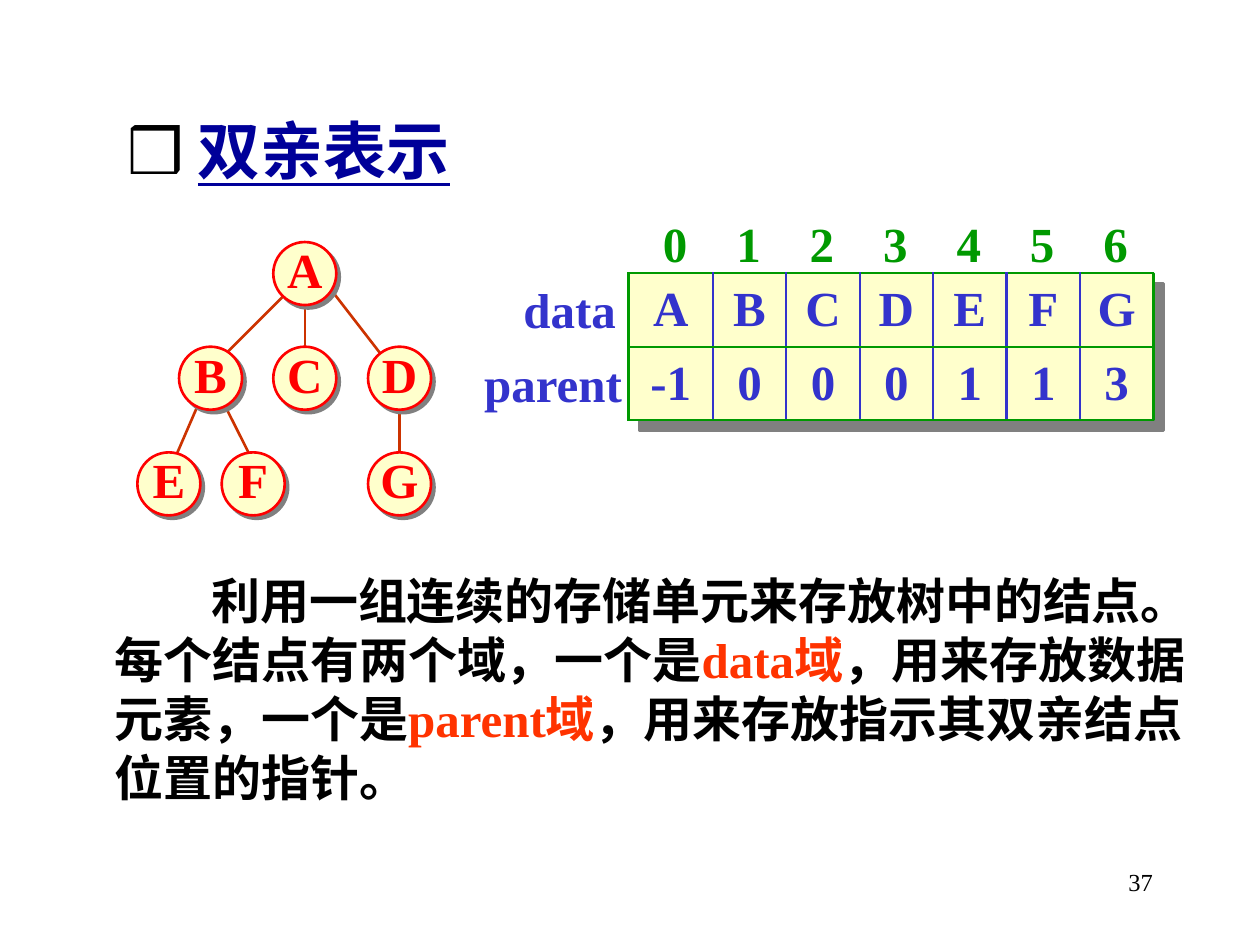
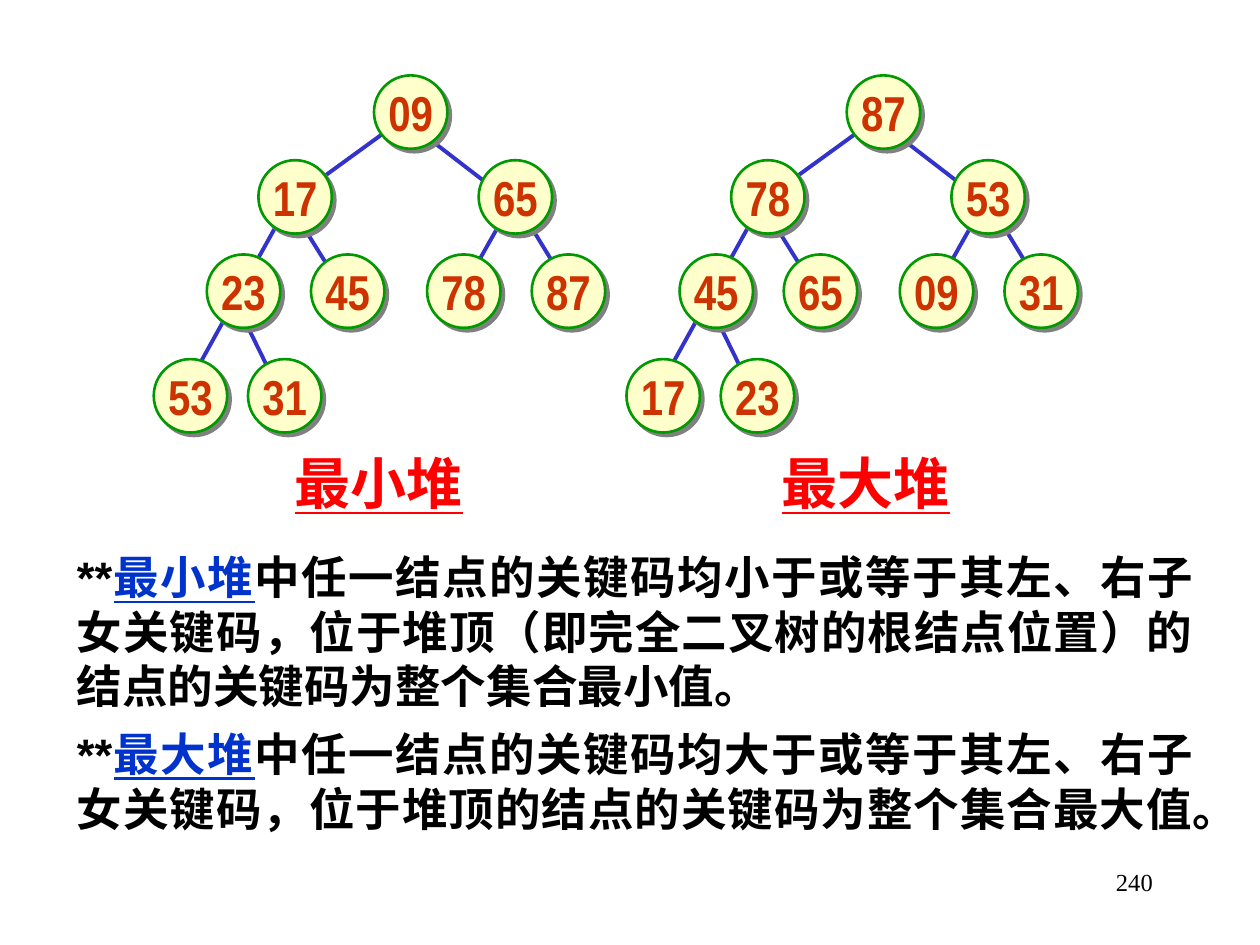
from lxml import etree
from pptx import Presentation
from pptx.dml.color import RGBColor
from pptx.enum.shapes import MSO_CONNECTOR, MSO_SHAPE
from pptx.enum.text import MSO_ANCHOR, MSO_AUTO_SIZE, PP_ALIGN
from pptx.oxml.ns import qn
from pptx.util import Cm, Pt

STRAIGHT = MSO_CONNECTOR.STRAIGHT
ELLIPSE, RECTANGLE = MSO_SHAPE.OVAL, MSO_SHAPE.RECTANGLE
TOP, MIDDLE = MSO_ANCHOR.TOP, MSO_ANCHOR.MIDDLE
LEFT, CENTER, RIGHT, JUSTIFY = PP_ALIGN.LEFT, PP_ALIGN.CENTER, PP_ALIGN.RIGHT, PP_ALIGN.JUSTIFY
NO_AUTOFIT = MSO_AUTO_SIZE.NONE
TITLE_ONLY, BLANK = 5, 6

COLOURS = {
    "black": "000000", "navy": "000099", "cream": "FFFFCC", "red": "FF0000",
    "brick": "CC3300", "orange": "FF3300", "green": "009900", "indigo": "3333CC",
    "blue": "0033CC", "grey": "808080",
}
SERIF, SANS, NARROW = "Times New Roman", "Arial", "Arial Narrow"


def text_style(name, size, color, bold=True):
    return {"name": name, "size": Pt(size), "bold": bold, "color": color}


TITLE = text_style(SERIF, 36, "black")
BODY = text_style(SERIF, 28, "black")
TREE_LETTER = text_style(SERIF, 28, "red")
ARRAY_VALUE = text_style(SERIF, 28, "indigo")
ARRAY_INDEX = text_style(SERIF, 28, "green")
HEAP_KEY = text_style(NARROW, 28, "brick")
HEAP_NAME = text_style(SANS, 32, "red") | {"underline": True}
HEAP_RULE = text_style(SANS, 26, "black")
PAGE_NUMBER = text_style(SERIF, 14, "black", bold=False)


def colour(name):
    return RGBColor.from_string(COLOURS[name])


class Deck:
    def __init__(self):
        self.presentation = Presentation()
        self.presentation.slide_width = Cm(25.4)
        self.presentation.slide_height = Cm(19.05)
        self.slide = None

    def new_slide(self, layout, number):
        self.slide = self.presentation.slides.add_slide(self.presentation.slide_layouts[layout])
        self.text_box(18.21, 17.35, 5.28, 1.27, [number], PAGE_NUMBER, align=RIGHT)

    def add_runs(self, paragraph, runs, style, **layout):
        for key, value in layout.items():
            setattr(paragraph, key, value)
        for part in [runs] if isinstance(runs, str) else runs:
            text, changes = (part, {}) if isinstance(part, str) else part
            run = paragraph.add_run()
            run.text = text
            for key, value in (style | changes).items():
                if key == "color":
                    run.font.color.rgb = colour(value)
                else:
                    setattr(run.font, key, value)

    def fill_frame(self, frame, paragraphs, style, align, anchor=TOP, space=0, **settings):
        for key, value in ({"word_wrap": True, "vertical_anchor": anchor} | settings).items():
            setattr(frame, key, value)
        for index, runs in enumerate(paragraphs):
            paragraph = frame.add_paragraph() if index else frame.paragraphs[0]
            self.add_runs(paragraph, runs, style, alignment=align,
                          space_before=Pt(space if index else 0))

    def title(self, left, top, width, height, runs):
        shape = self.slide.shapes.title
        for key, value in zip(("left", "top", "width", "height"), (left, top, width, height)):
            setattr(shape, key, Cm(value))
        self.fill_frame(shape.text_frame, [runs], TITLE, LEFT, auto_size=NO_AUTOFIT)

    def text_box(self, left, top, width, height, paragraphs, style, align=LEFT, **options):
        shape = self.slide.shapes.add_textbox(Cm(left), Cm(top), Cm(width), Cm(height))
        self.fill_frame(shape.text_frame, paragraphs, style, align, **options)
        return shape

    def line(self, start_x, start_y, end_x, end_y, color, width):
        connector = self.slide.shapes.add_connector(
            STRAIGHT, Cm(start_x), Cm(start_y), Cm(end_x), Cm(end_y))
        connector.line.color.rgb = colour(color)
        connector.line.width = Pt(width)
        etree.SubElement(connector._element.spPr, qn("a:effectLst"))

    def panel(self, kind, left, top, width, height, outline, shadow):
        shape = self.slide.shapes.add_shape(kind, Cm(left), Cm(top), Cm(width), Cm(height))
        shape.fill.solid()
        shape.fill.fore_color.rgb = colour("cream")
        shape.line.color.rgb = colour(outline)
        shape.line.width = Pt(1.5)
        shape.shadow.inherit = False
        effects = shape._element.spPr.find(qn("a:effectLst"))
        cast = etree.SubElement(effects, qn("a:outerShdw"), dist=str(Pt(shadow)),
                                dir="2700000", algn="ctr", rotWithShape="0")
        etree.SubElement(cast, qn("a:srgbClr"), val=COLOURS["grey"])
        return shape

    def tree(self, nodes, edges, size, outline, style, edge_color, edge_width, lift=0, shift=0):
        for start_x, start_y, end_x, end_y in edges:
            self.line(start_x + shift, start_y, end_x + shift, end_y, edge_color, edge_width)
        for label, left, top in nodes:
            shape = self.panel(ELLIPSE, left + shift, top, size, size, outline, 2.8)
            self.fill_frame(shape.text_frame, [label], style, CENTER, MIDDLE, word_wrap=False,
                            margin_left=0, margin_right=0, margin_top=0, margin_bottom=Cm(lift))

    def table(self, left, top, widths, row_height, rows):
        height = row_height * len(rows)
        self.panel(RECTANGLE, left, top, sum(widths), height, "green", 8.5)
        table = self.slide.shapes.add_table(
            len(rows), len(widths), Cm(left), Cm(top), Cm(sum(widths)), Cm(height)).table
        table.first_row = table.horz_banding = False
        for column, width in zip(table.columns, widths):
            column.width = Cm(width)
        last = len(widths) - 1
        for row_index, values in enumerate(rows):
            table.rows[row_index].height = Cm(row_height)
            for index, value in enumerate(values):
                cell = table.cell(row_index, index)
                for side in ("left", "right", "top", "bottom"):
                    setattr(cell, f"margin_{side}", 0)
                self.borders(cell, {
                    "lnL": "indigo" if index else "green",
                    "lnR": "indigo" if index < last else "green",
                    "lnT": "green", "lnB": "green"})
                cell.fill.solid()
                cell.fill.fore_color.rgb = colour("cream")
                cell.vertical_anchor = MIDDLE
                self.add_runs(cell.text_frame.paragraphs[0], value, ARRAY_VALUE, alignment=CENTER)

    def borders(self, cell, sides):
        properties = cell._tc.get_or_add_tcPr()
        for tag, color in sides.items():
            border = etree.SubElement(properties, qn(f"a:{tag}"), w=str(Pt(1.5)))
            fill = etree.SubElement(border, qn("a:solidFill"))
            etree.SubElement(fill, qn("a:srgbClr"), val=COLOURS[color])


def parent_array_slide(deck):
    deck.new_slide(TITLE_ONLY, "37")
    deck.title(2.31, 2.13, 9, 1.8, ["❒ ", ("双亲表示", {"color": "navy", "underline": True})])

    nodes = [("A", 5.51, 4.88), ("B", 3.61, 6.99), ("C", 5.51, 6.99), ("D", 7.42, 6.99),
             ("E", 2.77, 9.12), ("F", 4.47, 9.12), ("G", 7.42, 9.12)]
    edges = [(5.74, 5.94, 4.47, 7.21), (6.15, 5.94, 6.15, 7.21), (6.58, 5.72, 8.05, 7.62),
             (4.04, 8.05, 3.4, 9.53), (4.47, 8.05, 5.11, 9.32), (8.05, 8.05, 8.05, 9.53)]
    deck.tree(nodes, edges, 1.27, "red", TREE_LETTER, "brick", 1.5, lift=0.18)

    step, array_top = 1.48, 5.51
    deck.table(12.67, array_top, [1.7] + [step] * 6, step,
               ["ABCDEFG", ["-1", "0", "0", "0", "1", "1", "3"]])
    for row, (name, left, width) in enumerate([("data", 10.29, 2.39), ("parent", 9.5, 3.3)]):
        deck.text_box(left, array_top + row * step, width, 1.45, [name], ARRAY_VALUE,
                      CENTER, anchor=MIDDLE, word_wrap=False)
    for index in range(7):
        deck.text_box(12.87 + index * step, 4.17, step, 1.45, [str(index)], ARRAY_INDEX,
                      CENTER, anchor=MIDDLE, word_wrap=False)

    highlight = {"color": "orange"}
    body = deck.text_box(1.09, 11.38, 23.7, 5.33, [[
        "利用一组连续的存储单元来存放树中的结点。每个结点有两个域，一个是",
        ("data域", highlight), "，用来存放数据元素，一个是",
        ("parent域", highlight), "，用来存放指示其双亲结点位置的指针。"]], BODY)
    properties = body.text_frame.paragraphs[0]._p.get_or_add_pPr()
    properties.set("marL", str(Cm(0.97)))
    properties.set("indent", str(Cm(1.95)))


def heap_slide(deck):
    deck.new_slide(BLANK, "240")
    places = [(7.54, 1.52), (5.21, 3.23), (9.65, 3.23),
              (4.17, 5.13), (6.27, 5.13), (8.61, 5.13), (10.72, 5.13),
              (3.1, 7.24), (5, 7.24)]
    edges = [(8.18, 2.36, 5.84, 4.06), (8.38, 2.59, 10.29, 4.06), (5.84, 4.06, 3.73, 7.87),
             (6.07, 4.5, 7.11, 6.17), (10.08, 4.5, 9.25, 5.97), (10.52, 4.27, 11.56, 5.97),
             (5, 6.6, 5.84, 8.31)]
    heaps = [
        ("最小堆", "09 17 65 23 45 78 87 53 31", 0, 5.69,
         "中任一结点的关键码均小于或等于其左、右子女关键码，"
         "位于堆顶（即完全二叉树的根结点位置）的结点的关键码为整个集合最小值。"),
        ("最大堆", "87 78 53 45 65 09 31 17 23", 9.53, 15.51,
         "中任一结点的关键码均大于或等于其左、右子女关键码，"
         "位于堆顶的结点的关键码为整个集合最大值。"),
    ]
    for name, keys, shift, name_left, _ in heaps:
        nodes = [(key, *place) for key, place in zip(keys.split(), places)]
        deck.tree(nodes, edges, 1.48, "green", HEAP_KEY, "indigo", 2.25, shift=shift)
        deck.text_box(name_left, 8.92, 5, 1.6, [name], HEAP_NAME)
    term = {"color": "blue", "underline": True}
    rules = [["**", (name, term), rule] for name, *_, rule in heaps]
    deck.text_box(1.3, 10.95, 23.01, 6.1, rules, HEAP_RULE, JUSTIFY, space=7.5)


def main():
    deck = Deck()
    parent_array_slide(deck)
    heap_slide(deck)
    deck.presentation.save("out.pptx")


if __name__ == "__main__":
    main()
